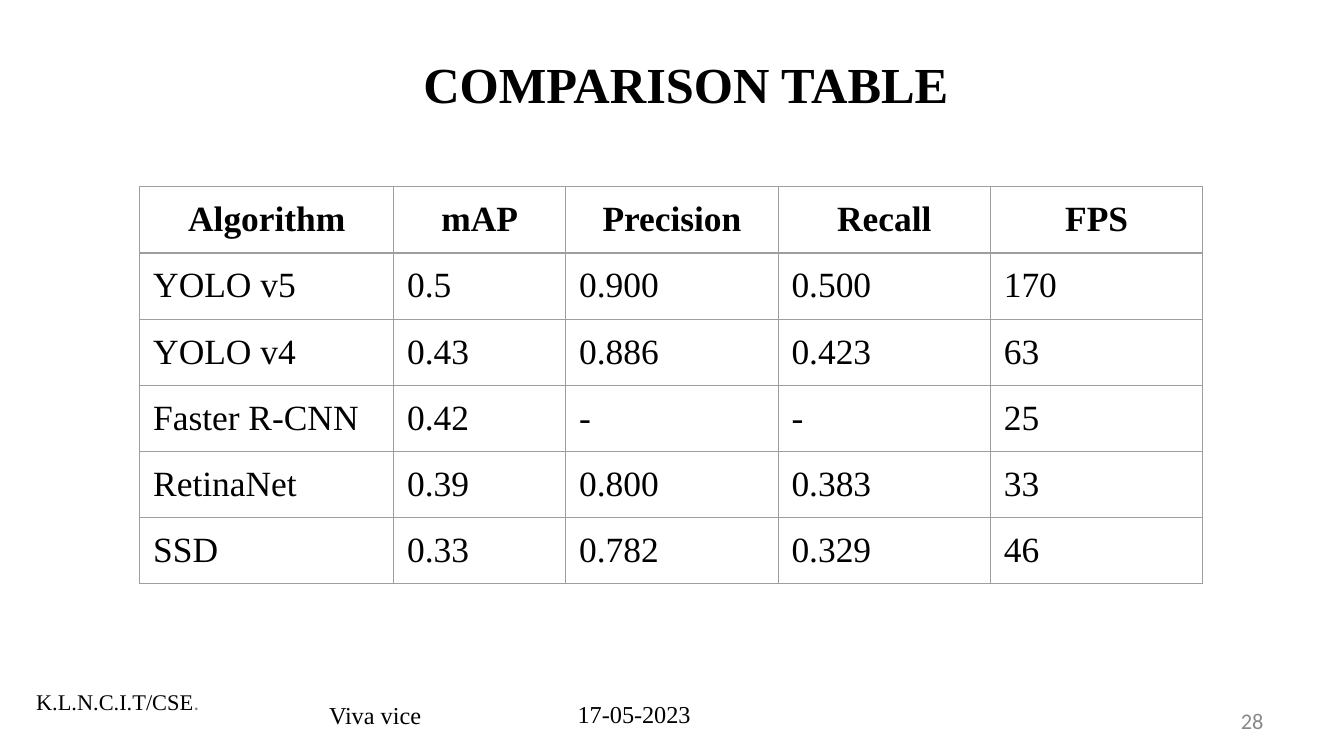
from lxml import etree
from pptx import Presentation
from pptx.dml.color import RGBColor
from pptx.enum.text import MSO_ANCHOR, MSO_AUTO_SIZE, PP_ALIGN
from pptx.oxml.ns import qn
from pptx.util import Inches, Pt

LEFT, CENTER, RIGHT, JUST = PP_ALIGN.LEFT, PP_ALIGN.CENTER, PP_ALIGN.RIGHT, PP_ALIGN.JUSTIFY
TOP, MIDDLE = MSO_ANCHOR.TOP, MSO_ANCHOR.MIDDLE
GROW, FIXED = MSO_AUTO_SIZE.SHAPE_TO_FIT_TEXT, MSO_AUTO_SIZE.NONE

THEME = {
    "ink": "000000", "muted": "898989", "grid": "9E9E9E",
    "serif": "Times New Roman", "sans": "Calibri",
    "title": 27, "cell": 19, "note": 13, "small": 12,
}


def write(par, text, size, color="ink", face="serif", bold=False):
    run = par.add_run()
    run.text = text
    form = {"size": Pt(THEME[size]), "name": THEME[face], "bold": bold}
    for key, value in form.items():
        setattr(run.font, key, value)
    run.font.color.rgb = RGBColor.from_string(THEME[color])


def frame(shape, box, pad, anchor, fit):
    for key, value in zip(("left", "top", "width", "height"), box):
        setattr(shape, key, Inches(value))
    form = {
        "margin_left": Inches(0.1), "margin_right": Inches(0.1),
        "margin_top": Inches(pad), "margin_bottom": Inches(pad),
        "word_wrap": True, "auto_size": fit, "vertical_anchor": anchor,
    }
    for key, value in form.items():
        setattr(shape.text_frame, key, value)
    return shape.text_frame.paragraphs[0]


# A 16:9 slide
deck = Presentation()
deck.slide_width, deck.slide_height = Inches(10), Inches(10 * 9 / 16)
slide = deck.slides.add_slide(deck.slide_layouts[5])

# Title
par = frame(slide.shapes.title, (3.05, 0.15, 4.33, 0.94), 0.05, MIDDLE, FIXED)
par.alignment = LEFT
write(par, "COMPARISON TABLE", "title", bold=True)

# Comparison table
rows = [
    ("Algorithm", "mAP", "Precision", "Recall", "FPS"),
    ("YOLO v5", "0.5", "0.900", "0.500", "170"),
    ("YOLO v4", "0.43", "0.886", "0.423", "63"),
    ("Faster R-CNN", "0.42", "-", "-", "25"),
    ("RetinaNet", "0.39", "0.800", "0.383", "33"),
    ("SSD", "0.33", "0.782", "0.329", "46"),
]
widths = (1.89, 1.28, 1.58, 1.58, 1.58)
side = Inches(3.28)
holder = slide.shapes.add_table(
    len(rows), len(widths), Inches(1.04), Inches(1.39), side, side)
table = holder.table
table.horz_banding = False
for col, width in zip(table.columns, widths):
    col.width = Inches(width)
for r, row in enumerate(rows):
    table.rows[r].height = Inches(0.42)
    for c, text in enumerate(row):
        cell = table.cell(r, c)
        for edge in ("left", "right", "top", "bottom"):
            setattr(cell, "margin_" + edge, Inches(0.1))
        par = cell.text_frame.paragraphs[0]
        par.alignment = JUST if r else CENTER
        write(par, text, "cell", bold=r == 0)
        # Borders come before the fill in the cell properties
        props = cell._tc.get_or_add_tcPr()
        for edge in ("a:lnL", "a:lnR", "a:lnT", "a:lnB"):
            line = etree.SubElement(props, qn(edge), w=str(Pt(0.75)))
            fill = etree.SubElement(line, qn("a:solidFill"))
            etree.SubElement(fill, qn("a:srgbClr"), val=THEME["grid"])
        cell.fill.background()
# Rows grow with their text, the frame keeps its size
holder.width = holder.height = side

# Footer: box, padding, anchor, fit, alignment, runs
notes = [
    ((0.17, 5.02, 3.28, 0.4), 0.1, TOP, GROW, LEFT,
     [("K.L.N.C.I.T/CSE", "small"), (".", "small", "muted", "sans")]),
    ((7.17, 5.21, 2.33, 0.3), 0.05, MIDDLE, FIXED, RIGHT,
     [("28", "small", "muted", "sans")]),
    ((2.35, 5.11, 1.2, 0.42), 0.1, TOP, GROW, LEFT, [("Viva vice", "note")]),
    ((4.2, 5.1, 1.53, 0.42), 0.1, TOP, GROW, LEFT, [("17-05-2023", "note")]),
]
for box, pad, anchor, fit, align, runs in notes:
    par = frame(slide.shapes.add_textbox(0, 0, 0, 0), box, pad, anchor, fit)
    par.alignment = align
    for run in runs:
        write(par, *run)

deck.save("out.pptx")
